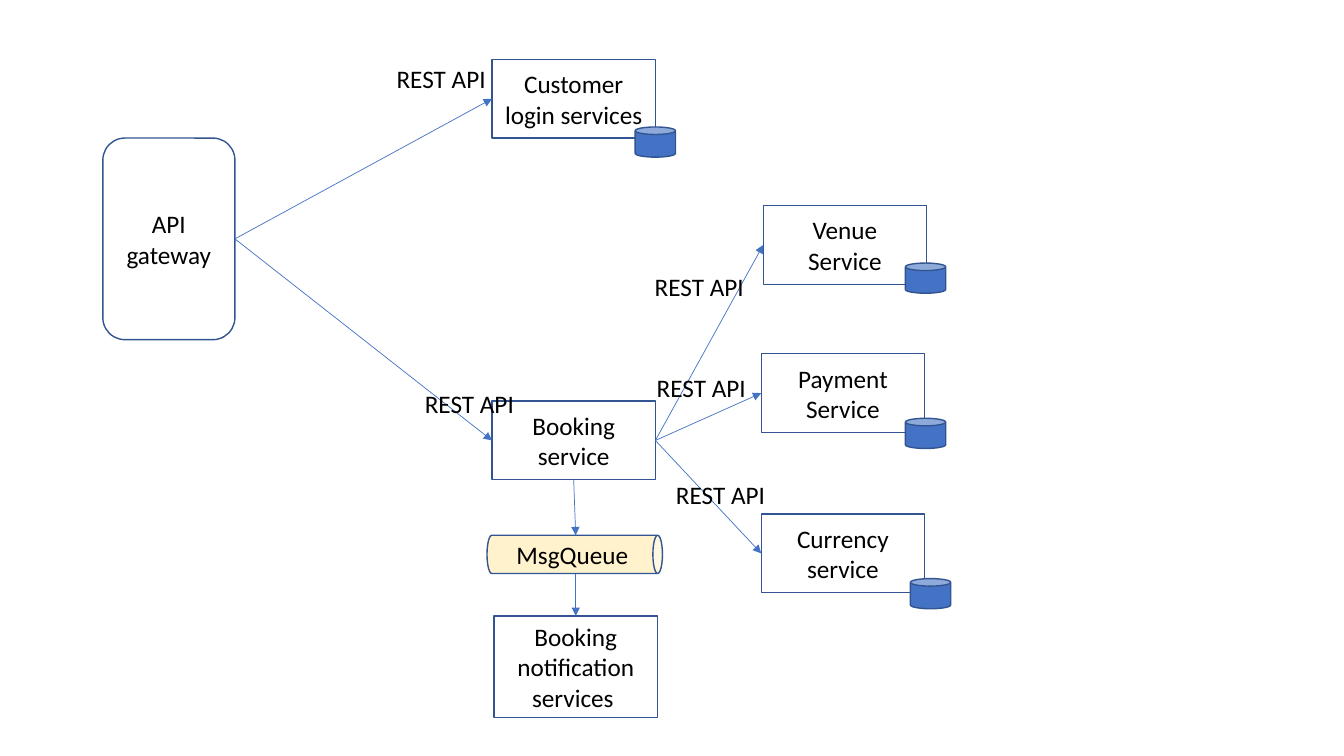
from lxml import etree
from pptx import Presentation
from pptx.dml.color import RGBColor
from pptx.enum.shapes import MSO_CONNECTOR, MSO_SHAPE
from pptx.enum.text import MSO_ANCHOR, MSO_AUTO_SIZE, PP_ALIGN
from pptx.oxml.ns import qn
from pptx.util import Inches, Pt

RECT = MSO_SHAPE.RECTANGLE
ROUNDED = MSO_SHAPE.ROUNDED_RECTANGLE
CAN = MSO_SHAPE.CAN
STRAIGHT = MSO_CONNECTOR.STRAIGHT
CENTER = PP_ALIGN.CENTER
MIDDLE = MSO_ANCHOR.MIDDLE
GROW = MSO_AUTO_SIZE.SHAPE_TO_FIT_TEXT

BLACK = RGBColor(0x00, 0x00, 0x00)
BLUE = RGBColor(0x44, 0x72, 0xC4)
DARK_BLUE = RGBColor(0x32, 0x54, 0x91)
CREAM = RGBColor(0xFF, 0xF2, 0xCC)

BOX_W, BOX_H = 1.62, 0.78
LEFT_SITE, RIGHT_SITE = 1, 3

prs = Presentation()
prs.slide_width, prs.slide_height = Inches(13.33), Inches(7.5)
slide = prs.slides.add_slide(prs.slide_layouts[6])


def write(shape, text):
    """Put one centred black line of text into a shape."""
    shape.text_frame.word_wrap = True
    paragraph = shape.text_frame.paragraphs[0]
    paragraph.alignment = CENTER
    run = paragraph.add_run()
    run.text = text
    run.font.name, run.font.size = "Calibri", Pt(18)
    run.font.color.rgb = BLACK


def add_node(preset, left, top, width, height, text="", fill=None):
    """Add an outlined shape, with optional text and fill."""
    node = slide.shapes.add_shape(
        preset, Inches(left), Inches(top), Inches(width), Inches(height))
    node.shadow.inherit = False
    node.line.color.rgb, node.line.width = DARK_BLUE, Pt(1)
    if fill is None:
        node.fill.background()
    else:
        node.fill.solid()
        node.fill.fore_color.rgb = fill
    if text:
        node.text_frame.vertical_anchor = MIDDLE
        write(node, text)
    return node


# Services
gateway = add_node(ROUNDED, 1.02, 1.37, 1.31, 2, "API gateway")
login = add_node(RECT, 4.88, 0.59, BOX_W, BOX_H, "Customer login services")
booking = add_node(RECT, 4.88, 3.98, BOX_W, BOX_H, "Booking service")
venue = add_node(RECT, 7.57, 2.04, BOX_W, BOX_H, "Venue Service")
payment = add_node(RECT, 7.55, 3.51, BOX_W, BOX_H, "Payment Service")
currency = add_node(RECT, 7.55, 5.1, BOX_W, BOX_H, "Currency service")
add_node(RECT, 4.9, 6.11, BOX_W, 1.01, "Booking notification services ")

# Databases
for left, top in [(6.3, 1.26), (8.98, 2.61), (8.98, 4.15), (9.03, 5.74)]:
    add_node(CAN, left, top, 0.4, 0.3, fill=BLUE)

# Message queue: a can lying on its side, with its text kept level
queue = add_node(CAN, 5.51, 4.63, 0.38, 1.74, "MsgQueue", CREAM)
queue.rotation = 90
queue.text_frame._txBody.bodyPr.set("vert", "vert270")

# Arrows: API calls join service sides, queue arrows run downwards
arrows = []
for caller, service in [(gateway, login), (gateway, booking), (booking, venue),
                        (booking, payment), (booking, currency)]:
    call = slide.shapes.add_connector(STRAIGHT, 0, 0, 0, 0)
    call.begin_connect(caller, RIGHT_SITE)
    call.end_connect(service, LEFT_SITE)
    arrows.append(call)
for start_x, start_y, end_y in [(5.69, 4.76, 5.31), (5.71, 5.69, 6.11)]:
    arrows.append(slide.shapes.add_connector(
        STRAIGHT, Inches(start_x), Inches(start_y), Inches(5.71), Inches(end_y)))
for arrow in arrows:
    arrow.line.color.rgb, arrow.line.width = BLUE, Pt(0.5)
    etree.SubElement(arrow.line._get_or_add_ln(), qn("a:tailEnd"), type="triangle")
    etree.SubElement(arrow._element.spPr, qn("a:effectLst"))

# Protocol labels
for left, top in [(3.72, 0.58), (4, 3.8), (6.28, 2.64), (6.3, 3.64), (6.49, 4.71)]:
    label = slide.shapes.add_textbox(
        Inches(left), Inches(top), Inches(1.31), Inches(0.4))
    write(label, "REST API")
    label.text_frame.auto_size = GROW

prs.save("out.pptx")
